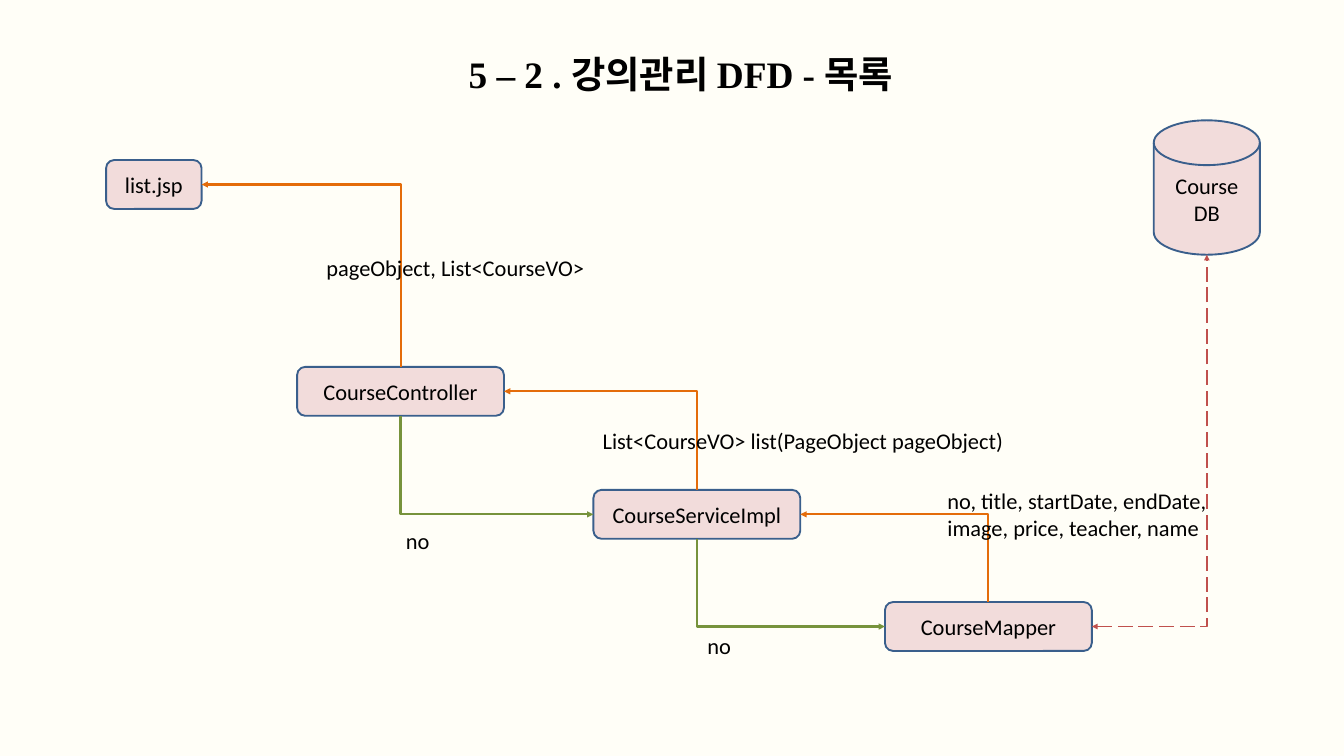
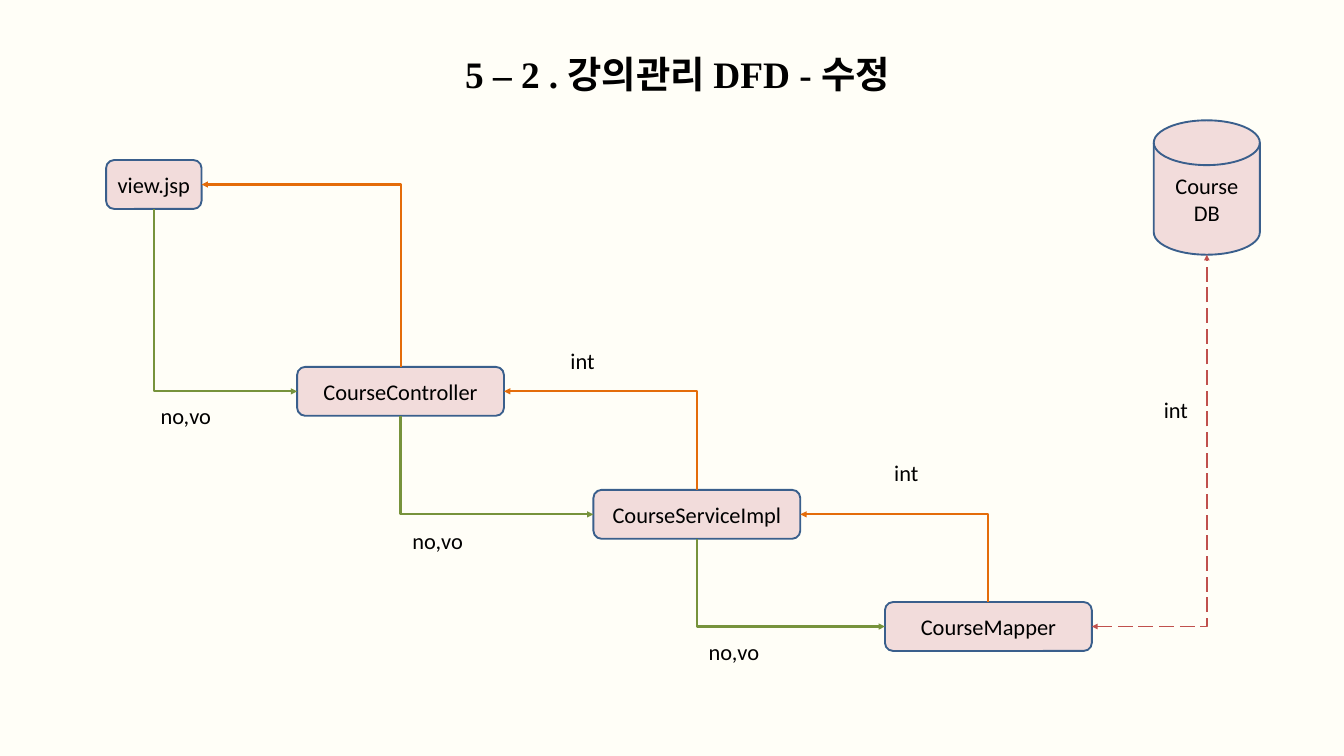
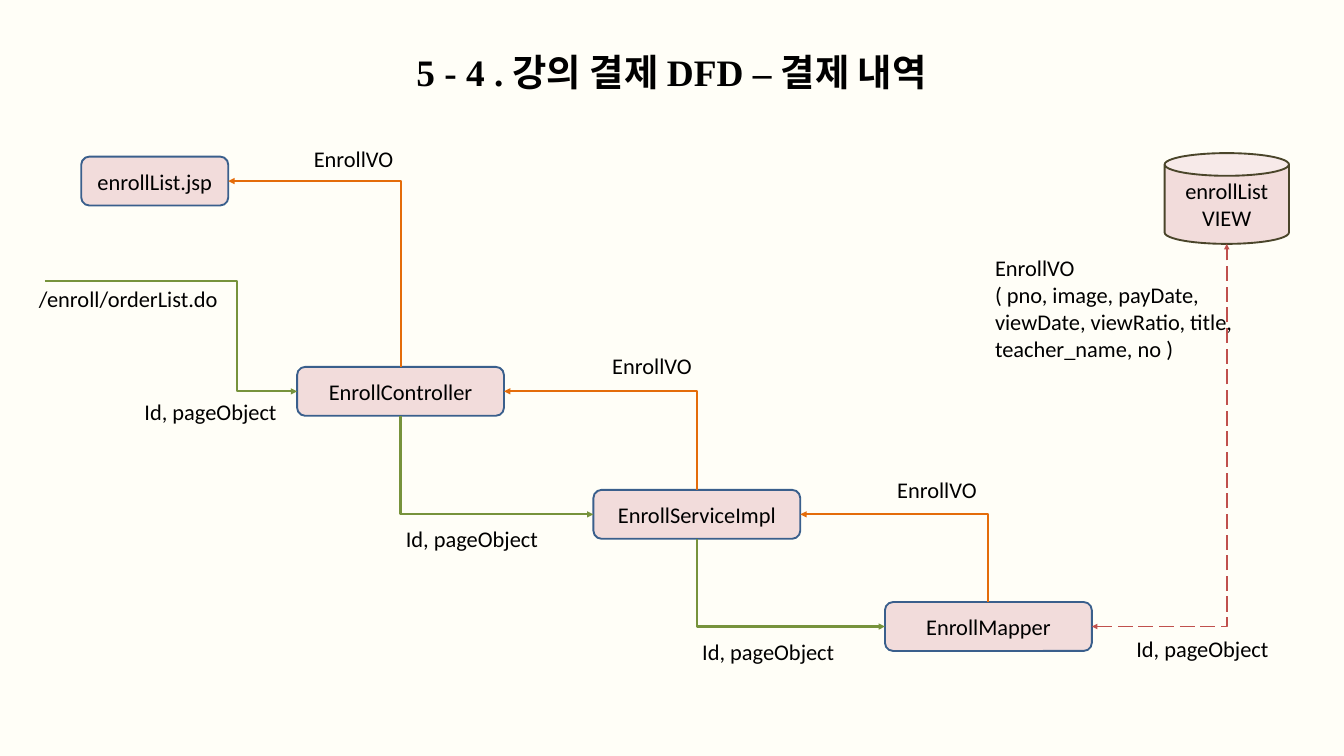
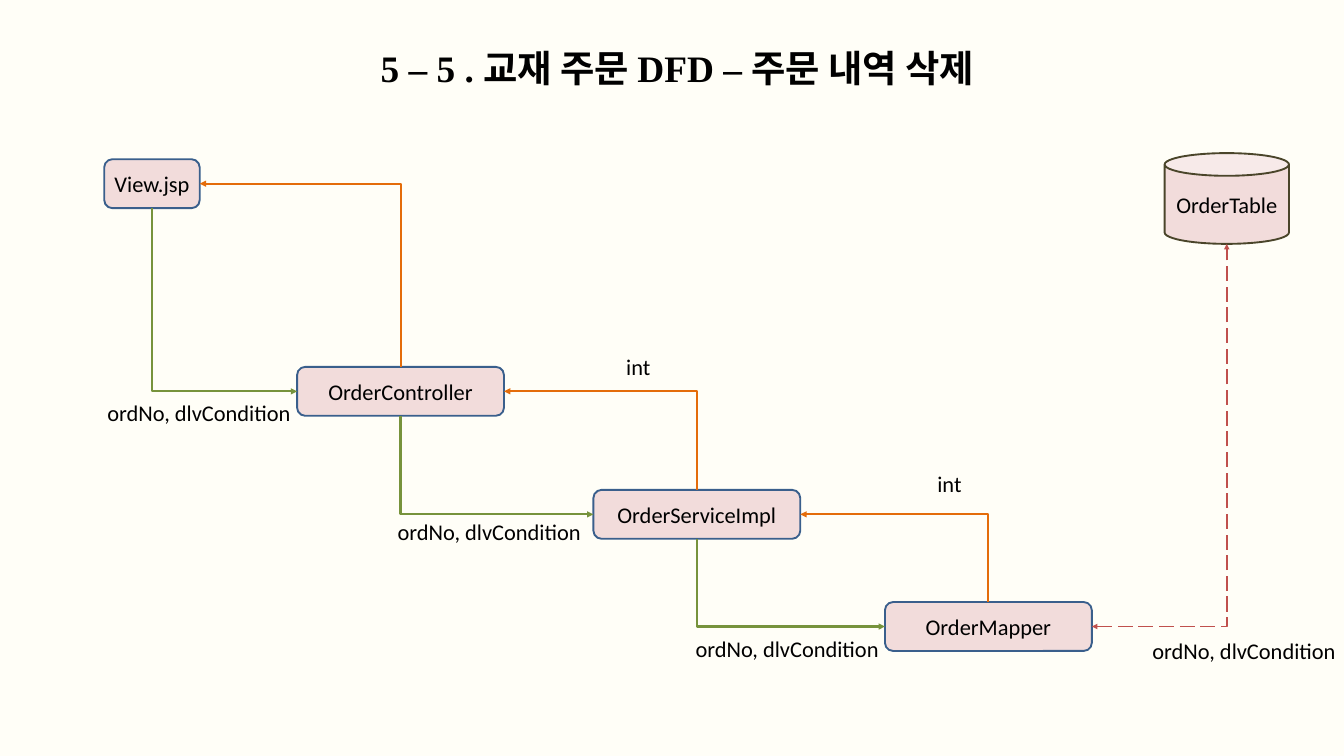
from dataclasses import dataclass
from itertools import pairwise

from lxml import etree
from pptx import Presentation
from pptx.dml import color
from pptx.enum import dml, shapes, text
from pptx.oxml import ns
from pptx.util import Cm, Pt

TOP, LEFT, BOTTOM, RIGHT = range(4)


@dataclass(frozen=True)
class Theme:
    paper: str = "FFFEF7"
    ink: str = "000000"
    node: str = "F2DCDB"
    node_edge: str = "3A5F8C"
    view_edge: str = "4A452A"
    request: str = "77933C"
    response: str = "E46C0A"
    query: str = "C0504D"
    title_font: str = "Times New Roman"
    body_font: str = "Calibri"
    title_size: int = 40
    body_size: int = 24
    edge_width: float = 2
    flow_width: float = 2.25


@dataclass(frozen=True)
class Box:
    left: float
    top: float
    width: float
    height: float

    def inner(self, left, top, width, height):
        return Box(self.left + left, self.top + top, width, height)

    def lengths(self):
        return [Cm(v) for v in (self.left, self.top, self.width, self.height)]


@dataclass(frozen=True)
class Flow:
    title: str
    title_box: Box
    page: str
    page_box: Box
    prefix: str
    store: str
    labels: tuple
    store_is_view: bool = False
    page_sends: bool = False
    entry: tuple = ()


THEME = Theme()
DIAGRAM = Box(1, 4, 49, 23)
STEPS = (("Controller", 10.23, 9.87), ("ServiceImpl", 21.43, 14.52), ("Mapper", 32.45, 18.76))
STEP_WIDTH, NODE_HEIGHT = 7.82, 1.85
TABLE_STORE = Box(42.61, 0.55, 4.01, 5.08)
VIEW_STORE = Box(43.02, 1.79, 4.7, 3.43)
ENTRY_BEND = 0.76
LABEL_PADDING, LINE_HEIGHT = 0.24, 1.03
LABEL_WIDTHS = {
    "int": 1.45,
    "no": 1.42,
    "no,vo": 2.44,
    "EnrollVO": 3.56,
    "Id, pageObject": 5.56,
    "ordNo, dlvCondition": 7.49,
    "/enroll/orderList.do": 7.34,
    "pageObject, List<CourseVO>": 10.36,
    "List<CourseVO> list(PageObject pageObject)": 15.8,
    "no, title, startDate, endDate,\nimage, price, teacher, name": 10.59,
    "EnrollVO\n( pno, image, payDate,\nviewDate, viewRatio, title,\nteacher_name, no )": 9.58,
}

FLOWS = (
    Flow(
        "5 – 2 . 강의관리 DFD - 목록", Box(16.31, 1.8, 18.85, 1.96),
        "list.jsp", Box(3.01, 2.05, 3.61, NODE_HEIGHT), "Course", "Course\nDB",
        (
            ("pageObject, List<CourseVO>", 11.09, 5.5),
            ("List<CourseVO> list(PageObject pageObject)", 21.53, 12.03),
            ("no, title, startDate, endDate,\nimage, price, teacher, name", 34.56, 14.29),
            ("no", 14.09, 15.81),
            ("no", 25.49, 19.77),
        ),
    ),
    Flow(
        "5 – 2 . 강의관리 DFD - 수정", Box(16.08, 1.8, 19.05, 1.96),
        "view.jsp", Box(3.01, 2.05, 3.61, NODE_HEIGHT), "Course", "Course\nDB",
        (
            ("int", 20.31, 8.98),
            ("int", 32.55, 13.25),
            ("int", 42.74, 10.86),
            ("no,vo", 4.82, 11.09),
            ("no,vo", 25.54, 19.98),
            ("no,vo", 14.34, 15.81),
        ),
        page_sends=True,
    ),
    Flow(
        "5 - 4 . 강의 결제 DFD – 결제 내역", Box(14.61, 1.73, 21.54, 1.96),
        "enrollList.jsp", Box(2.07, 1.92, 5.56, NODE_HEIGHT), "Enroll", "enrollList\nVIEW",
        (
            ("Id, pageObject", 4.21, 10.91),
            ("EnrollVO\n( pno, image, payDate,\nviewDate, viewRatio, title,\nteacher_name, no )", 36.36, 5.5),
            ("/enroll/orderList.do", 0.22, 6.64),
            ("Id, pageObject", 14.09, 15.74),
            ("Id, pageObject", 25.29, 20),
            ("Id, pageObject", 41.7, 19.9),
            ("EnrollVO", 32.66, 13.88),
            ("EnrollVO", 21.89, 9.18),
            ("EnrollVO", 10.61, 1.36),
        ),
        store_is_view=True, entry=(0.7, 6.64),
    ),
    Flow(
        "5 – 5 . 교재 주문 DFD – 주문 내역 삭제", Box(11, 1.57, 29.21, 1.96),
        "View.jsp", Box(2.94, 2.02, 3.61, NODE_HEIGHT), "Order", "OrderTable",
        (
            ("ordNo, dlvCondition", 2.81, 10.96),
            ("ordNo, dlvCondition", 13.78, 15.48),
            ("ordNo, dlvCondition", 25.04, 19.9),
            ("ordNo, dlvCondition", 42.31, 19.95),
            ("int", 22.42, 9.23),
            ("int", 34.18, 13.65),
        ),
        store_is_view=True, page_sends=True,
    ),
)


def rgb(value):
    return color.RGBColor.from_string(value)


def write(frame, words, align, size=THEME.body_size, font=THEME.body_font, bold=False):
    frame.text = words
    for paragraph in frame.paragraphs:
        paragraph.alignment = align
        paragraph.font.size = Pt(size)
        paragraph.font.name = font
        paragraph.font.bold = bold
        paragraph.font.color.rgb = rgb(THEME.ink)


def place_title(slide, box, words):
    title = slide.shapes.title
    title.left, title.top, title.width, title.height = box.lengths()
    frame = title.text_frame
    write(frame, words, text.PP_ALIGN.CENTER, THEME.title_size, THEME.title_font, True)
    frame.word_wrap = True
    frame.vertical_anchor = text.MSO_ANCHOR.TOP
    frame.auto_size = text.MSO_AUTO_SIZE.SHAPE_TO_FIT_TEXT


def add_node(slide, box, words, outline=shapes.MSO_SHAPE.ROUNDED_RECTANGLE, edge=THEME.node_edge):
    node = slide.shapes.add_shape(outline, *box.lengths())
    node.shadow.inherit = False
    node.fill.solid()
    node.fill.fore_color.rgb = rgb(THEME.node)
    node.line.color.rgb = rgb(edge)
    node.line.width = Pt(THEME.edge_width)
    node.text_frame.vertical_anchor = text.MSO_ANCHOR.MIDDLE
    write(node.text_frame, words, text.PP_ALIGN.CENTER)
    return node


def add_store(slide, area, words, is_view):
    spot = VIEW_STORE if is_view else TABLE_STORE
    outline = shapes.MSO_SHAPE.CAN if is_view else shapes.MSO_SHAPE.FLOWCHART_MAGNETIC_DISK
    edge = THEME.view_edge if is_view else THEME.node_edge
    box = area.inner(spot.left, spot.top, spot.width, spot.height)
    return add_node(slide, box, words, outline, edge)


def add_label(slide, area, words, left, top):
    height = LABEL_PADDING + LINE_HEIGHT * len(words.splitlines())
    box = area.inner(left, top, LABEL_WIDTHS[words], height)
    frame = slide.shapes.add_textbox(*box.lengths()).text_frame
    frame.word_wrap = False
    frame.auto_size = text.MSO_AUTO_SIZE.SHAPE_TO_FIT_TEXT
    write(frame, words, text.PP_ALIGN.LEFT)


def side_point(node, side):
    across = {LEFT: 0, RIGHT: node.width}.get(side, node.width // 2)
    down = {TOP: 0, BOTTOM: node.height}.get(side, node.height // 2)
    return node.left + across, node.top + down


def style_arrow(arrow, tint, width, both_ends=False):
    arrow.line.color.rgb = rgb(tint)
    arrow.line.width = Pt(width)
    if both_ends:
        arrow.line.dash_style = dml.MSO_LINE.LONG_DASH
    properties = arrow._element.spPr
    line = properties.find(ns.qn("a:ln"))
    for end in ("a:headEnd", "a:tailEnd")[0 if both_ends else 1:]:
        etree.SubElement(line, ns.qn(end), type="triangle")
    etree.SubElement(properties, ns.qn("a:effectLst"))


def add_corner(slide, source, source_side, target, target_side, tint,
               width=THEME.flow_width, both_ends=False, target_site=None):
    (x1, y1), (x2, y2) = start, end = side_point(source, source_side), side_point(target, target_side)
    arrow = slide.shapes.add_connector(shapes.MSO_CONNECTOR.ELBOW, *start, *end)
    arrow.begin_connect(source, source_side)
    arrow.end_connect(target, target_side if target_site is None else target_site)
    starts_upright = source_side in (TOP, BOTTOM)
    across, down = abs(x2 - x1), abs(y2 - y1)
    arrow.width, arrow.height = (down, across) if starts_upright else (across, down)
    arrow.left = (x1 + x2 - arrow.width) // 2
    arrow.top = (y1 + y2 - arrow.height) // 2
    properties = arrow._element.spPr
    frame = properties.find(ns.qn("a:xfrm"))
    frame.set("rot", "16200000" if starts_upright else "0")
    frame.set("flipH", "1" if y2 > y1 else "0")
    frame.set("flipV", "1" if y2 < y1 else "0")
    properties.find(ns.qn("a:prstGeom")).set("prst", "bentConnector2")
    style_arrow(arrow, tint, width, both_ends)


def add_entry(slide, area, start, controller):
    x, y = Cm(area.left + start[0]), Cm(area.top + start[1])
    arrow = slide.shapes.add_connector(
        shapes.MSO_CONNECTOR.ELBOW, x, y, *side_point(controller, LEFT))
    arrow.end_connect(controller, LEFT)
    bends = arrow._element.spPr.find(ns.qn("a:prstGeom")).find(ns.qn("a:avLst"))
    etree.SubElement(bends, ns.qn("a:gd"), name="adj1", fmla=f"val {round(ENTRY_BEND * 100000)}")
    style_arrow(arrow, THEME.request, THEME.flow_width)


def draw_diagram(slide, area, flow):
    spot = flow.page_box
    page = add_node(slide, area.inner(spot.left, spot.top, spot.width, spot.height), flow.page)
    store = add_store(slide, area, flow.store, flow.store_is_view)
    steps = [add_node(slide, area.inner(left, top, STEP_WIDTH, NODE_HEIGHT), flow.prefix + role)
             for role, left, top in STEPS]

    for caller, callee in pairwise(steps):
        add_corner(slide, caller, BOTTOM, callee, LEFT, THEME.request)
    for caller, callee in pairwise([page, *steps]):
        add_corner(slide, callee, TOP, caller, RIGHT, THEME.response)
    if flow.page_sends:
        add_corner(slide, page, BOTTOM, steps[0], LEFT, THEME.request)
    if flow.entry:
        add_entry(slide, area, flow.entry, steps[0])
    add_corner(slide, steps[-1], RIGHT, store, BOTTOM, THEME.query,
               THEME.edge_width, both_ends=True, target_site=3)

    for label in flow.labels:
        add_label(slide, area, *label)


def main():
    deck = Presentation()
    deck.slide_width, deck.slide_height = Cm(50.8), Cm(28.58)
    paper = deck.slide_master.background.fill
    paper.solid()
    paper.fore_color.rgb = rgb(THEME.paper)
    title_only = deck.slide_layouts[5]
    for flow in FLOWS:
        slide = deck.slides.add_slide(title_only)
        place_title(slide, flow.title_box, flow.title)
        draw_diagram(slide, DIAGRAM, flow)
    deck.save("out.pptx")


if __name__ == "__main__":
    main()
